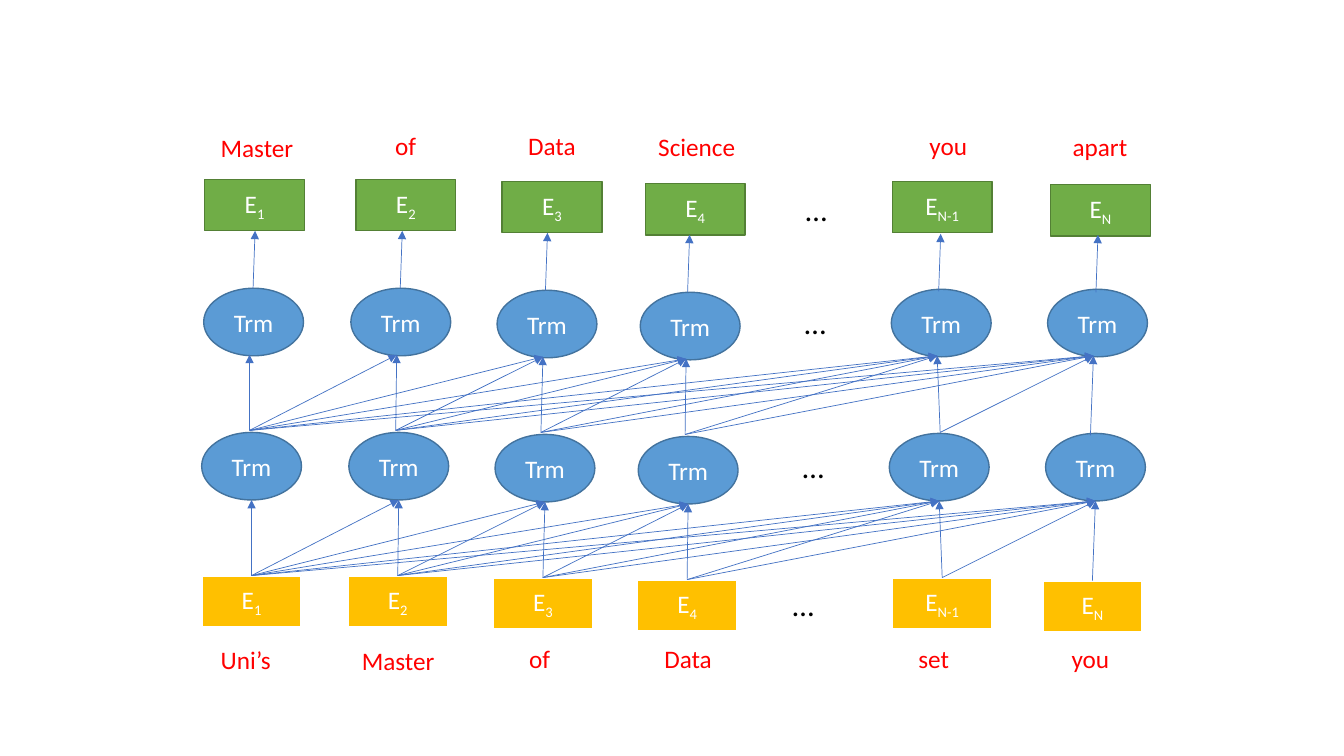
from lxml import etree
from pptx import Presentation
from pptx.dml.color import RGBColor
from pptx.enum import shapes, text
from pptx.oxml import ns
from pptx.util import Inches, Pt

GOLD = RGBColor(0xFF, 0xC0, 0x00)
GREEN = RGBColor(0x70, 0xAD, 0x47)
DARK_GREEN = RGBColor(0x53, 0x80, 0x35)
BLUE = RGBColor(0x5B, 0x9B, 0xD5)
DARK_BLUE = RGBColor(0x43, 0x73, 0x9E)
ARROW_BLUE = RGBColor(0x44, 0x72, 0xC4)
RED = RGBColor(0xFF, 0x00, 0x00)
BLACK = RGBColor(0, 0, 0)
WHITE = RGBColor(0xFF, 0xFF, 0xFF)

RECT = shapes.MSO_SHAPE.RECTANGLE
OVAL = shapes.MSO_SHAPE.OVAL
NODE_W, BOX_H, OVAL_H = 0.99, 0.51, 0.67

# One entry per token position: (left, top) of each node
SUBSCRIPTS = ["1", "2", "3", "4", "N-1", "N"]
INPUTS = [(2, 5.71), (3.45, 5.71), (4.89, 5.73),
          (6.32, 5.75), (8.85, 5.73), (10.34, 5.76)]
LOWER_TRMS = [(2, 4.29), (3.46, 4.29), (4.91, 4.31),
              (6.33, 4.33), (8.82, 4.3), (10.37, 4.3)]
OUTPUTS = [(2.03, 1.78), (3.53, 1.78), (4.98, 1.8),
           (6.4, 1.82), (8.85, 1.8), (10.42, 1.83)]
OUTPUT_ARROWS = [(2.51, 2.86), (3.97, 2.86), (5.41, 2.88),
                 (6.82, 2.9), (9.31, 2.89), (10.87, 2.9)]
ELLIPSES = [(7.69, 5.76), (7.79, 4.39), (7.81, 2.96), (7.82, 1.84)]

# Words: (text, left, top, width)
WORDS = [
    ("Uni’s", 2.09, 6.34, 0.79), ("Master", 3.49, 6.35, 0.93),
    ("of", 5.15, 6.33, 0.41), ("Data", 6.49, 6.33, 0.68),
    ("set", 9.01, 6.33, 0.51), ("you", 10.53, 6.33, 0.58),
    ("Master", 2.09, 1.26, 0.93), ("of", 3.82, 1.24, 0.41),
    ("Data", 5.14, 1.24, 0.68), ("Science", 6.43, 1.25, 0.98),
    ("you", 9.12, 1.24, 0.58), ("apart", 10.54, 1.25, 0.75),
]


def shift(points, dx, dy):
    """Move every point by the same offset."""
    return [(x + dx, y + dy) for x, y in points]


def add_run(p, words, color, size=18, subscript=False):
    """Append a formatted run to a paragraph."""
    r = p.add_run()
    r.text = words
    r.font.name, r.font.size = "Calibri", Pt(size)
    r.font.color.rgb = color
    if subscript:
        r.font._element.set("baseline", "-25000")


def add_node(kind, at, height, fill, line, width, label, subscript=""):
    """Draw one network node with a centred label."""
    sp = slide.shapes.add_shape(kind, Inches(at[0]), Inches(at[1]),
                                Inches(NODE_W), Inches(height))
    sp.shadow.inherit = False
    sp.fill.solid()
    sp.fill.fore_color.rgb = fill
    sp.line.color.rgb, sp.line.width = line, Pt(width)
    tf = sp.text_frame
    tf.vertical_anchor = text.MSO_ANCHOR.MIDDLE
    p = tf.paragraphs[0]
    p.alignment = text.PP_ALIGN.CENTER
    add_run(p, label, WHITE)
    if subscript:
        add_run(p, subscript, WHITE, subscript=True)


def add_text(words, left, top, width, height, color, size, wrap, inset=0.1):
    """Place a left-aligned text box."""
    box = slide.shapes.add_textbox(Inches(left), Inches(top),
                                   Inches(width), Inches(height))
    tf = box.text_frame
    tf.word_wrap = wrap
    tf.auto_size = text.MSO_AUTO_SIZE.SHAPE_TO_FIT_TEXT
    tf.margin_left = Inches(inset)
    add_run(tf.paragraphs[0], words, color, size)


def add_arrow(start, end):
    """Draw a thin straight arrow from start to end."""
    ends = [Inches(v) for v in (*start, *end)]
    line = slide.shapes.add_connector(shapes.MSO_CONNECTOR.STRAIGHT, *ends)
    line.line.color.rgb, line.line.width = ARROW_BLUE, Pt(0.5)
    etree.SubElement(line.line._get_or_add_ln(), ns.qn("a:tailEnd"), type="triangle")
    etree.SubElement(line._element.spPr, ns.qn("a:effectLst"))


def add_attention(tails, heads):
    """Link each position to itself and to all later positions."""
    for i, tail in enumerate(tails):
        for head in heads[i:]:
            add_arrow(tail, head)


prs = Presentation()
prs.slide_width, prs.slide_height = Inches(13.33), Inches(7.5)
slide = prs.slides.add_slide(prs.slide_layouts[6])

for at, sub in zip(INPUTS, SUBSCRIPTS):
    add_node(RECT, at, BOX_H, GOLD, WHITE, 1.5, "E", sub)
for at in LOWER_TRMS + shift(LOWER_TRMS, 0.02, -1.43):
    add_node(OVAL, at, OVAL_H, BLUE, DARK_BLUE, 1, "Trm")
for at, sub in zip(OUTPUTS, SUBSCRIPTS):
    add_node(RECT, at, BOX_H, GREEN, DARK_GREEN, 1, "E", sub)

# Both attention layers share one geometry, from box tops to oval bottoms
tails = shift(INPUTS, NODE_W / 2, 0)
heads = shift(LOWER_TRMS, NODE_W / 2, OVAL_H)
for dx, dy in [(0, 0), (-0.02, -1.44)]:
    add_attention(shift(tails, dx, dy), shift(heads, dx, dy))
for start, end in zip(OUTPUT_ARROWS, shift(OUTPUT_ARROWS, 0.02, -0.57)):
    add_arrow(start, end)

for left, top in ELLIPSES:
    add_text("…", left, top, 1.29, 0.47, BLACK, 22, True, inset=0.17)
for word, left, top, width in WORDS:
    add_text(word, left, top, width, 0.4, RED, 18, False)

prs.save("out.pptx")
